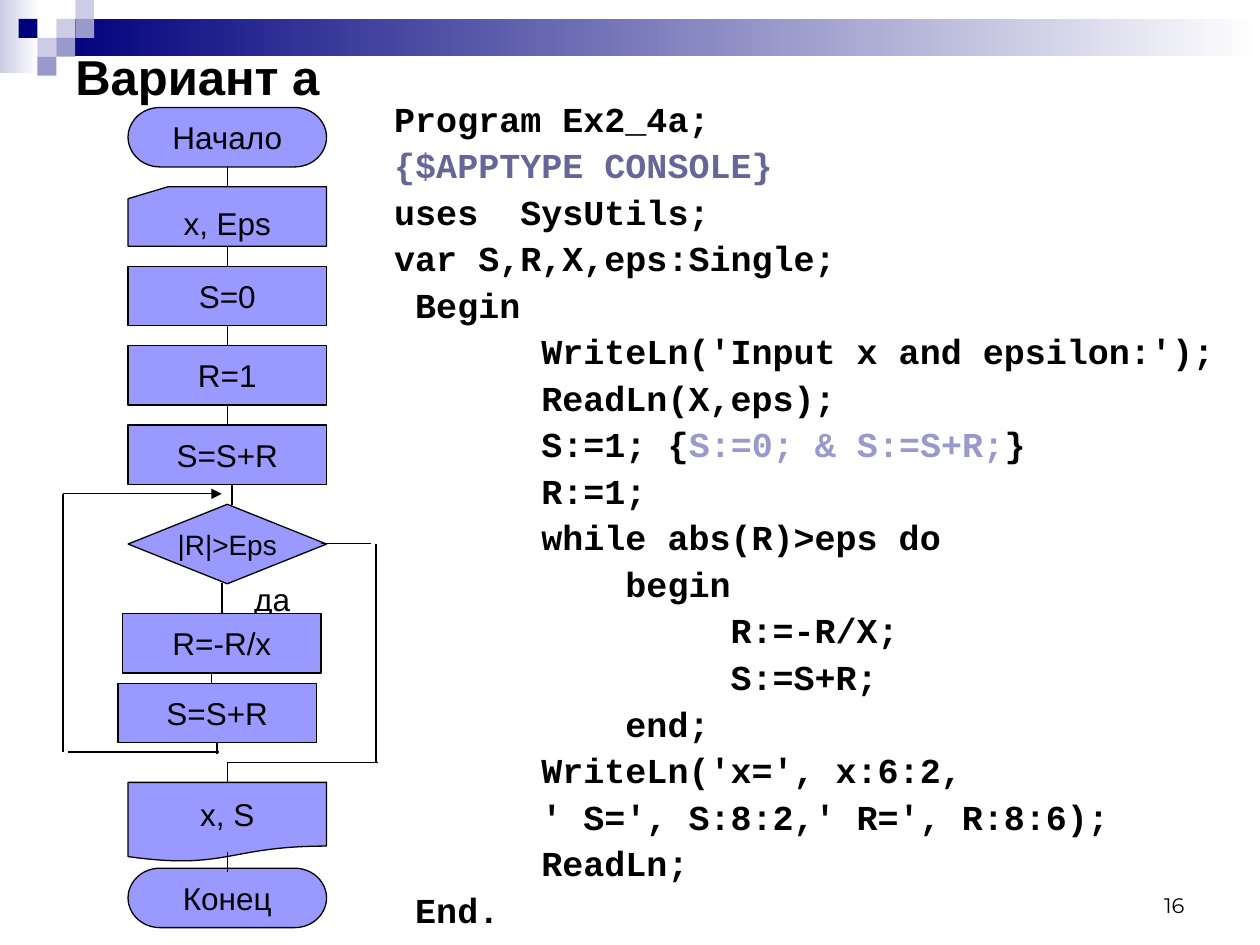
from dataclasses import dataclass
from itertools import pairwise
from lxml.etree import SubElement
from pptx import Presentation
from pptx.dml.color import RGBColor
from pptx.enum.shapes import MSO_CONNECTOR, MSO_SHAPE as Kind
from pptx.enum.text import MSO_ANCHOR as Anchor, MSO_AUTO_SIZE as Fit, PP_ALIGN as Align
from pptx.oxml.ns import qn
from pptx.util import Pt


@dataclass(frozen=True)
class Theme:
    """Colours, fonts and type sizes."""
    ink: str = "000000"
    navy: str = "00007D"
    pale: str = "CCCCE6"
    mid: str = "9999CC"
    white: str = "FFFFFF"
    node: str = "9999FF"
    slate: str = "666699"
    sans: str = "Arial"
    mono: str = "Courier New"
    foot: str = "Montserrat"
    title: int = 28
    code: int = 20
    label: int = 18
    test: int = 16
    small: int = 12


look = Theme()
BOTTOM, TOP = 2, 0


def rgb(code):
    """Turn a hex code into a colour."""
    return RGBColor.from_string(code)


def write(frame, lines, size=look.label, font=look.sans, bold=False,
          align=Align.LEFT, anchor=Anchor.TOP, wrap=True, gap=0,
          lead=None, hang=0):
    """Fill a text frame with lines, each a string or a list of (text, colour)."""
    frame.word_wrap = wrap
    frame.vertical_anchor = anchor
    for i, line in enumerate(lines):
        para = frame.add_paragraph() if i else frame.paragraphs[0]
        para.alignment = align
        para.line_spacing = lead
        para.space_before = Pt(gap if i else 0)
        if hang:
            props = para._p.get_or_add_pPr()
            props.set("marL", str(Pt(hang)))
            props.set("indent", str(-Pt(hang)))
        for text, tint in [(line, look.ink)] if isinstance(line, str) else line:
            run = para.add_run()
            run.text = text
            run.font.size, run.font.name, run.font.bold = Pt(size), font, bold
            run.font.color.rgb = rgb(tint)


def label(slide, box, lines, **style):
    """Add a text box."""
    frame = slide.shapes.add_textbox(*map(Pt, box)).text_frame
    write(frame, lines, **style)
    return frame


def block(slide, kind, box, fill, fade=None, edge=None):
    """Add a shape with a plain or fading fill."""
    shape = slide.shapes.add_shape(kind, *map(Pt, box))
    shape.shadow.inherit = False
    if fade:
        shape.fill.gradient()
        shape.fill.gradient_angle = 0
        for stop, tint in zip(shape.fill.gradient_stops, (fill, fade)):
            stop.color.rgb = rgb(tint)
    else:
        shape.fill.solid()
        shape.fill.fore_color.rgb = rgb(fill)
    if edge:
        shape.line.color.rgb = rgb(edge)
        shape.line.width = Pt(0.75)
    else:
        shape.line.fill.background()
    return shape


def wire(slide, ends, start=None, stop=None, arrow=False):
    """Draw a straight line, joined to start's bottom and stop's top if given."""
    line = slide.shapes.add_connector(MSO_CONNECTOR.STRAIGHT, *map(Pt, ends))
    if start:
        line.begin_connect(start, BOTTOM)
    if stop:
        line.end_connect(stop, TOP)
    line.line.color.rgb = rgb(look.ink)
    line.line.width = Pt(0.75)
    if arrow:
        SubElement(line.line._get_or_add_ln(), qn("a:tailEnd"), type="triangle")
    SubElement(line._element.spPr, qn("a:effectLst"))


def banner(slide, x, y, wide):
    """Draw the fading bars and the checker squares."""
    block(slide, Kind.RECTANGLE, (x, y, 22.3, 41.8), look.pale, look.white)
    block(slide, Kind.RECTANGLE, (x + 32.4, y + 10.8, wide - 32.4, 21.3),
          look.navy, look.white)
    side = 10.8
    cells = [(2, 1, look.pale), (3, 0, look.pale), (3, 1, look.mid),
             (1, 2, look.pale), (0, 1, look.navy), (2, 2, look.mid),
             (1, 3, look.mid)]
    for col, row, tint in cells:
        block(slide, Kind.RECTANGLE,
              (x + 10.6 + col * side, y + row * side, side, side), tint)


def flow(slide, x, y):
    """Draw the flow chart from its top left corner."""
    wide, high, tall, step = 113.4, 34, 45.4, 45.36

    def node(kind, text, left, top, deep=high, size=look.label):
        """Add one labelled step."""
        shape = block(slide, kind, (x + left, y + top, wide, deep),
                      look.node, edge=look.ink)
        write(shape.text_frame, [text], size=size, align=Align.CENTER,
              anchor=Anchor.MIDDLE, wrap=False)
        return shape

    def link(x1, y1, x2, y2, **joins):
        """Draw a line inside the chart."""
        wire(slide, (x + x1, y + y1, x + x2, y + y2), **joins)

    main, mid = 37.2, 93.9
    steps = [(Kind.FLOWCHART_TERMINATOR, "Начало"),
             (Kind.FLOWCHART_CARD, "x, Eps"),
             (Kind.RECTANGLE, "S=0"), (Kind.RECTANGLE, "R=1"),
             (Kind.RECTANGLE, "S=S+R")]
    chain = [node(kind, text, main, i * step)
             for i, (kind, text) in enumerate(steps)]
    for above, below in pairwise(chain):
        wire(slide, (0, 0, 0, 0), start=above, stop=below)
    node(Kind.DIAMOND, "|R|>Eps", main, 5 * step, tall, look.test)
    note = label(slide, (x + 102.2, y + 266.4, 36, 28.8), ["да"], wrap=False)
    note.auto_size = Fit.SHAPE_TO_FIT_TEXT
    turn = node(Kind.RECTANGLE, "R=-R/x", 34.1, 289.2)
    total = node(Kind.RECTANGLE, "S=S+R", 31.4, 329)
    out = node(Kind.FLOWCHART_DOCUMENT, "x, S", main, 385.7, tall)
    node(Kind.FLOWCHART_TERMINATOR, "Конец", main, 434.7)

    link(90.8, 272, 90.8, 289.2, stop=turn)
    link(88.1, 363, 88.1, 369.2, start=total)
    link(mid, 374.2, mid, 385.7, stop=out)
    for ends in [(96.5, 227.3, 96.5, 215.1), (147.6, 249, 175.9, 249),
                 (178.8, 374.2, 178.8, 249.6), (mid, 374.2, 180, 374.2),
                 (85, 322.6, 85, 329), (3, 368.4, 89.3, 368.4),
                 (0, 368.4, 0, 220.8), (mid, 425.3, mid, 436.8)]:
        link(*ends)
    link(0, 220.8, 90.7, 220.8, arrow=True)


def code(slide, box):
    """Write the program listing."""
    lines = [
        "Program Ex2_4а;",
        [("{$APPTYPE CONSOLE}", look.slate)],
        "uses  SysUtils;",
        "var S,R,X,eps:Single;",
        " Begin",
        "       WriteLn('Input x and epsilon:');",
        "       ReadLn(X,eps);",
        [("       S:=1; {", look.ink), ("S:=0; & S:=S+R;", look.mid),
         ("}", look.ink)],
        "       R:=1;",
        "       while abs(R)>eps do",
        "           begin",
        "                R:=-R/X;",
        "                S:=S+R;",
        "           end;",
        "       WriteLn('x=', x:6:2,",
        "       ' S=', S:8:2,' R=', R:8:6);",
        "       ReadLn;",
        " End.",
    ]
    label(slide, box, lines, size=look.code, font=look.mono, bold=True,
          gap=5, lead=0.9, hang=27)


def main():
    """Build and save the slide."""
    deck = Presentation()
    deck.slide_width, deck.slide_height = Pt(720), Pt(540)
    slide = deck.slides.add_slide(deck.slide_layouts[6])
    banner(slide, 0, 0, 720)
    label(slide, (516.2, 491.8, 167.8, 36), ["16"], size=look.small,
          font=look.foot, align=Align.RIGHT, anchor=Anchor.BOTTOM)
    label(slide, (36, 32, 648, 22.3), ["Вариант а"], size=look.title,
          bold=True, anchor=Anchor.MIDDLE)
    code(slide, (218.2, 54.7, 501.8, 485.3))
    flow(slide, 36, 61.4)
    deck.save("out.pptx")


if __name__ == "__main__":
    main()
